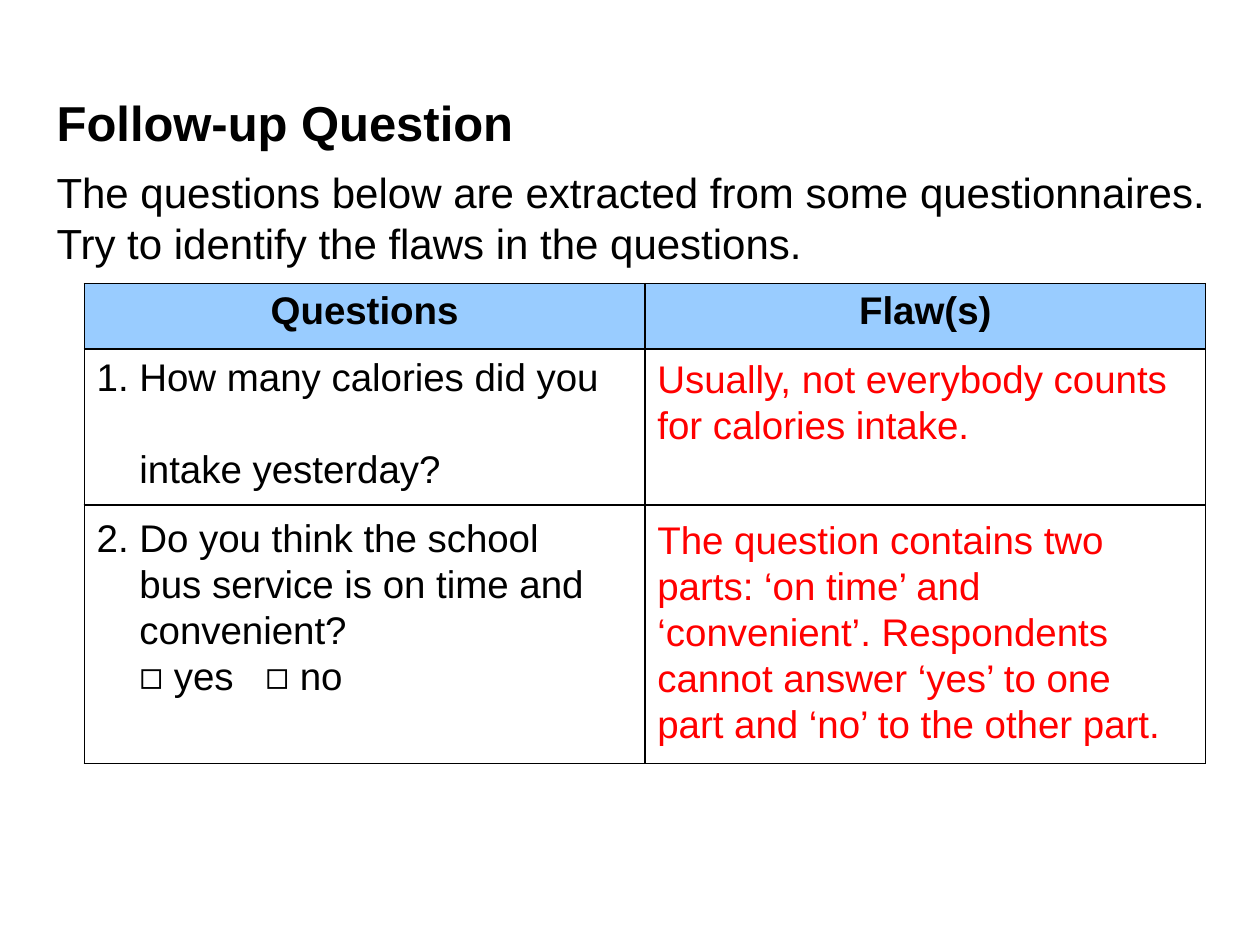
from pptx import Presentation
from pptx.dml.color import RGBColor
from pptx.enum.text import MSO_ANCHOR, MSO_AUTO_SIZE, PP_ALIGN
from pptx.oxml import parse_xml
from pptx.oxml.ns import nsdecls
from pptx.util import Pt

BLACK = RGBColor(0, 0, 0)
RED = RGBColor(255, 0, 0)
BLUE = RGBColor(0x99, 0xCC, 0xFF)
WHITE = RGBColor(255, 255, 255)

LEFT, WIDE = 48.2, 640.8
COL = WIDE / 2
TOP, HEAD, ROW, LAST = 162, 37.4, 89.3, 147.6
NEXT = TOP + HEAD + ROW
HANG = 24.4
LINE = 26.3
HEADS = ["Questions", "Flaw(s)"]


def style(font, size, color=BLACK, bold=False):
    form = {"name": "Arial", "size": Pt(size), "bold": bold}
    for key, value in form.items():
        setattr(font, key, value)
    font.color.rgb = color


def write(frame, lines, size, color=BLACK, bold=False, pitch=None):
    form = {
        "word_wrap": True,
        "auto_size": MSO_AUTO_SIZE.NONE,
        "vertical_anchor": MSO_ANCHOR.TOP,
    }
    for key, value in form.items():
        setattr(frame, key, value)
    frame.text = "\n".join(lines)
    for para in frame.paragraphs:
        para.alignment = PP_ALIGN.LEFT
        if pitch:
            para.line_spacing = Pt(pitch)
        for run in para.runs:
            style(run.font, size, color, bold)
    return frame.paragraphs


def add_text(slide, area, lines, size, color=BLACK, pitch=LINE):
    box = slide.shapes.add_textbox(*map(Pt, area))
    return write(box.text_frame, lines, size, color, pitch=pitch)


def add_title(slide, area, text):
    title = slide.shapes.title
    for key, value in zip(("left", "top", "width", "height"), area):
        setattr(title, key, Pt(value))
    write(title.text_frame, [text], 28, bold=True, pitch=33.8)


def hang(paras):
    for i, para in enumerate(paras):
        prop = para._p.get_or_add_pPr()
        prop.set("marL", str(Pt(HANG)))
        prop.set("indent", str(0 if i else -Pt(HANG)))


def set_tab(para, place):
    para._p.get_or_add_pPr().append(parse_xml(
        f'<a:tabLst {nsdecls("a")}><a:tab pos="{Pt(place)}" algn="l"/></a:tabLst>'))


def edge(cell):
    prop = cell._tc.get_or_add_tcPr()
    for i, side in enumerate(("lnL", "lnR", "lnT", "lnB")):
        prop.insert(i, parse_xml(
            f'<a:{side} {nsdecls("a")} w="{Pt(1)}"><a:solidFill>'
            f'<a:srgbClr val="{BLACK}"/></a:solidFill></a:{side}>'))


def add_grid(slide, top, rows, heads=()):
    area = map(Pt, (LEFT, top, WIDE, sum(rows)))
    table = slide.shapes.add_table(len(rows), 2, *area).table
    table.first_row = bool(heads)
    table.horz_banding = False
    for col in table.columns:
        col.width = Pt(COL)
    for row, high in zip(table.rows, rows):
        row.height = Pt(high)
    for cell in table.iter_cells():
        cell.fill.solid()
        cell.fill.fore_color.rgb = WHITE
        edge(cell)
    for i, text in enumerate(heads):
        cell = table.cell(0, i)
        cell.fill.fore_color.rgb = BLUE
        cell.text = text
        para = cell.text_frame.paragraphs[0]
        para.alignment = PP_ALIGN.CENTER
        style(para.runs[0].font, 22, bold=True)


def main():
    deck = Presentation()
    deck.slide_width, deck.slide_height = Pt(720), Pt(540)
    slide = deck.slides.add_slide(deck.slide_layouts[5])

    add_title(slide, (25.2, 49, 635, 41), "Follow-up Question")
    add_text(slide, (25.2, 91.4, 680.4, 65.5), [
        "The questions below are extracted from some questionnaires. "
        "Try to identify the flaws in the questions."], 24, pitch=29.1)

    add_grid(slide, TOP, [HEAD, ROW], HEADS)
    add_grid(slide, NEXT, [LAST])

    first = add_text(slide, (LEFT, 198, 306, 87), [
        "1. How many calories did you", "intake yesterday?"], 22)
    hang(first)
    first[1].space_before = Pt(LINE)

    second = add_text(slide, (LEFT, 290.2, 306, 140.4), [
        "2. Do you think the school\vbus service is on time and",
        "convenient?", "◻ yes\t◻ no"], 22)
    hang(second)
    set_tab(second[2], 96.6)

    right = LEFT + COL
    add_text(slide, (right, 199.4, 314.6, 60.5), [
        "Usually, not everybody counts for calories intake."], 22, RED)
    add_text(slide, (right, 291.6, 314.6, 140.4), [
        "The question contains two parts: ‘on time’ and ‘convenient’. "
        "Respondents cannot answer ‘yes’ to one part and ‘no’ to the "
        "other part."], 22, RED)
    deck.save("out.pptx")


if __name__ == "__main__":
    main()
